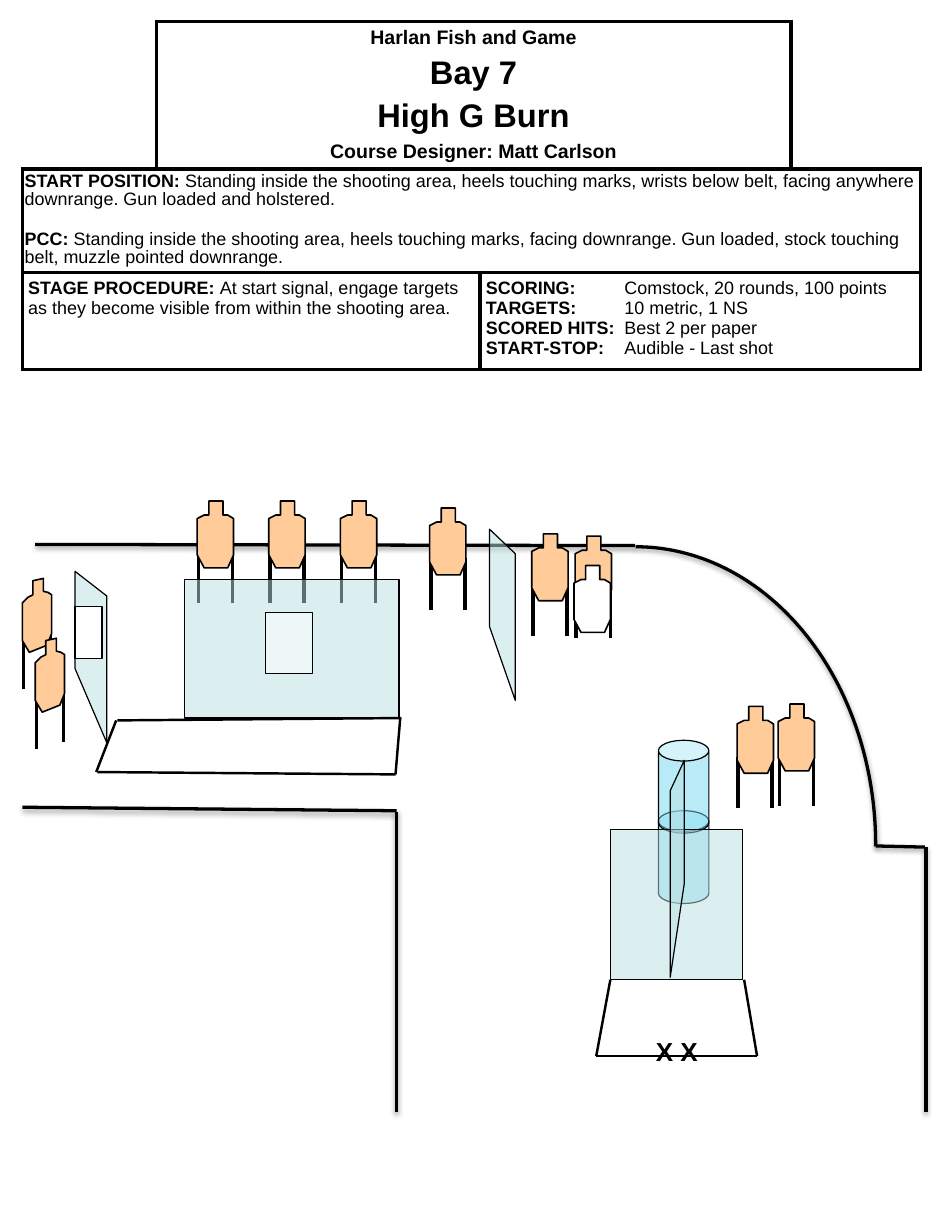
"""Build the Bay 7 stage diagram with its briefing table."""
from lxml import etree
from pptx import Presentation
from pptx.dml.color import RGBColor
from pptx.enum.shapes import MSO_CONNECTOR, MSO_SHAPE
from pptx.enum.text import MSO_ANCHOR, PP_ALIGN
from pptx.oxml import parse_xml
from pptx.oxml.ns import qn
from pptx.util import Inches, Pt

STRAIGHT = MSO_CONNECTOR.STRAIGHT
RECT, CAN, ARC = MSO_SHAPE.RECTANGLE, MSO_SHAPE.CAN, MSO_SHAPE.ARC
CENTER, MIDDLE, TOP = PP_ALIGN.CENTER, MSO_ANCHOR.MIDDLE, MSO_ANCHOR.TOP
COLORS = {"ink": "000000", "paper": "FFFFFF", "target": "FFCC99", "wall": "BBE0E3", "barrel": "73D9F1"}
NS = 'xmlns:a="http://schemas.openxmlformats.org/drawingml/2006/main"'
SHADOW = (
    f'<a:effectLst {NS}><a:outerShdw blurRad="40000" dist="20000" dir="5400000" rotWithShape="0">'
    '<a:srgbClr val="000000"><a:alpha val="38000"/></a:srgbClr></a:outerShdw></a:effectLst>'
)


def paint(shape, color, width, alpha=100):
    shape.shadow.inherit = False
    shape.line.color.rgb = RGBColor.from_string(COLORS["ink"])
    shape.line.width = Pt(width)
    if color is None:
        shape.fill.background()
        return
    shape.fill.solid()
    shape.fill.fore_color.rgb = RGBColor.from_string(COLORS[color])
    if alpha < 100:
        tint = shape._element.spPr.find(qn("a:solidFill"))[0]
        etree.SubElement(tint, qn("a:alpha"), val=str(alpha * 1000))


def draw_line(shapes, ends, width, effect=f"<a:effectLst {NS}/>"):
    line = shapes.add_connector(STRAIGHT, *[Inches(v) for v in ends])
    line.line.color.rgb = RGBColor.from_string(COLORS["ink"])
    line.line.width = Pt(width)
    line._element.spPr.append(parse_xml(effect))


prs = Presentation()
prs.slide_width, prs.slide_height = Inches(8), Inches(10.5)
slide = prs.slides.add_slide(prs.slide_layouts[6])
shapes = slide.shapes

briefing = shapes.add_table(3, 4, Inches(0.19), Inches(0.18), Inches(7.65), Inches(2.97)).table
briefing.first_row = briefing.horz_banding = False
for column, width in zip(briefing.columns, (1.14, 2.76, 2.65, 1.1)):
    column.width = Inches(width)
for row, height in zip(briefing.rows, (1.26, 0.88, 0.83)):
    row.height = Inches(height)
for first, last in (((0, 1), (0, 2)), ((1, 0), (1, 3)), ((2, 0), (2, 1)), ((2, 2), (2, 3))):
    briefing.cell(*first).merge(briefing.cell(*last))

open_sides = {(0, 0): "LT", (0, 3): "RT"}
for r in range(3):
    for c in range(4):
        cell = briefing.cell(r, c)
        cell.fill.solid()
        cell.fill.fore_color.rgb = RGBColor.from_string(COLORS["paper"])
        for order, side in enumerate("LRTB"):
            stroke = "<a:noFill/>"
            if side not in open_sides.get((r, c), ""):
                stroke = f'<a:solidFill><a:srgbClr val="{COLORS["ink"]}"/></a:solidFill>'
            border = parse_xml(f'<a:ln{side} {NS} w="28575">{stroke}</a:ln{side}>')
            cell._tc.get_or_add_tcPr().insert(order, border)

start_text = (
    " Standing inside the shooting area, heels touching marks, wrists below belt, "
    "facing anywhere downrange. Gun loaded and holstered."
)
pcc_text = (
    "Standing inside the shooting area, heels touching marks, facing downrange. "
    "Gun loaded, stock touching belt, muzzle pointed downrange."
)
procedure_text = "At start signal, engage targets as they become visible from within the shooting area."
sections = [
    ((0, 1), 0.05, 0.05, MIDDLE, CENTER, 1, 4, [
        (12, "Harlan Fish and Game", ""), (20, "Bay 7", ""),
        (20, "High G Burn", ""), (12, "Course Designer: Matt Carlson", "")]),
    ((1, 0), 0.02, 0.04, TOP, None, 0.9, 13, [
        (11, "START POSITION:", start_text), (11, "PCC: ", pcc_text)]),
    ((2, 0), 0.05, 0.05, TOP, None, 1, 0, [(11, "STAGE PROCEDURE: ", procedure_text)]),
    ((2, 2), 0.05, 0.05, TOP, None, 1, 0, [
        (11, "SCORING:", "\tComstock, 20 rounds, 100 points"),
        (11, "TARGETS:", "\t10 metric, 1 NS"),
        (11, "SCORED HITS:", "\tBest 2 per paper"),
        (11, "START-STOP:", "\tAudible - Last shot")]),
]
for position, side_inset, end_inset, anchor, align, spacing, before, entries in sections:
    cell = briefing.cell(*position)
    cell.margin_left = cell.margin_right = Inches(side_inset)
    cell.margin_top = cell.margin_bottom = Inches(end_inset)
    cell.vertical_anchor = anchor
    for i, (size, heading, detail) in enumerate(entries):
        frame = cell.text_frame
        paragraph = frame.add_paragraph() if i else frame.paragraphs[0]
        paragraph.alignment = align
        paragraph.line_spacing = spacing
        if i and before:
            paragraph.space_before = Pt(before)
        if detail.startswith("\t"):
            tabs = etree.SubElement(paragraph._p.get_or_add_pPr(), qn("a:tabLst"))
            etree.SubElement(tabs, qn("a:tab"), pos=str(Inches(1.18)), algn="l")
        for text, bold in ((heading, True), (detail, False)):
            if text:
                run = paragraph.add_run()
                run.text = text
                run.font.name, run.font.size, run.font.bold = "Arial", Pt(size), bold
                run.font.color.rgb = RGBColor.from_string(COLORS["ink"])

berm_lines = [
    (5.41, 4.65, 0.3, 4.64), (3.38, 9.48, 3.38, 6.92), (3.38, 6.91, 0.19, 6.88),
    (7.89, 9.48, 7.89, 7.22), (7.88, 7.22, 7.46, 7.21),
]
for ends in berm_lines:
    draw_line(shapes, ends, 2, SHADOW)
berm_curve = shapes.add_shape(ARC, Inches(3.37), Inches(4.66), Inches(4.09), Inches(5.08))
berm_curve.adjustments[0], berm_curve.adjustments[1] = 162, 0.24
paint(berm_curve, None, 2)
berm_curve._element.spPr.remove(berm_curve._element.spPr.find(qn("a:effectLst")))
berm_curve._element.spPr.append(parse_xml(SHADOW))

front_outline = [
    (0.1, 0), (0.22, 0), (0.22, 0.12), (0.26, 0.12), (0.31, 0.15), (0.31, 0.46),
    (0.26, 0.57), (0.06, 0.57), (0, 0.46), (0, 0.15), (0.06, 0.12), (0.1, 0.12),
]
angled_outline = [
    (0.09, 0.02), (0.18, 0), (0.18, 0.11), (0.22, 0.12), (0.25, 0.14), (0.25, 0.47),
    (0.21, 0.57), (0.06, 0.63), (0, 0.53), (0, 0.21), (0.05, 0.16), (0.09, 0.14),
]
front_legs = [(0.01, 0.43), (0.3, 0.43)]
angled_legs = [(0.01, 0.5), (0.24, 0.44)]
front_spots = [
    (6.63, 6), (4.9, 4.57), (6.28, 6.02), (4.53, 4.55),
    (1.68, 4.27), (2.29, 4.27), (2.9, 4.27), (3.66, 4.33),
]
targets = [(x, y, front_outline, front_legs, "target") for x, y in front_spots]
targets += [(x, y, angled_outline, angled_legs, "target") for x, y in ((0.19, 4.93), (0.3, 5.44))]
targets.append((4.89, 4.82, front_outline, [], "paper"))
for x, y, outline, legs, color in targets:
    parts = shapes.add_group_shape().shapes if legs else shapes
    for dx, dy in legs:
        draw_line(parts, (x + dx, y + dy, x + dx, y + dy + 0.44), 2.25)
    points = [(Inches(x + dx), Inches(y + dy)) for dx, dy in outline]
    silhouette = parts.build_freeform(*points[0])
    silhouette.add_line_segments(points[1:])
    paint(silhouette.convert_to_shape(), color, 1)

for top in (6.91, 6.31):
    barrel = shapes.add_shape(CAN, Inches(5.61), Inches(top), Inches(0.43), Inches(0.79))
    barrel.adjustments[0] = 0.41
    paint(barrel, "barrel", 0.75, 50)

angled_walls = [
    [(5.83, 7.53), (5.71, 8.33), (5.71, 6.74), (5.83, 6.48)],
    [(4.17, 5.34), (4.39, 5.97), (4.39, 4.72), (4.17, 4.51)],
    [(0.64, 5.7), (0.91, 6.33), (0.91, 5.08), (0.64, 4.87)],
]
flat_panels = [
    (5.2, 7.07, 1.13, 1.28, "wall", 50), (1.57, 4.94, 1.83, 1.18, "wall", 50),
    (2.26, 5.22, 0.4, 0.52, "paper", 50), (0.64, 5.17, 0.23, 0.44, "paper", 100),
]
for *box, color, alpha in flat_panels[:3]:
    paint(shapes.add_shape(RECT, *[Inches(v) for v in box]), color, 0.75, alpha)
for corners in angled_walls:
    points = [(Inches(x), Inches(y)) for x, y in corners]
    wall = shapes.build_freeform(*points[0])
    wall.add_line_segments(points[1:])
    paint(wall.convert_to_shape(), "wall", 0.75, 50)
*box, color, alpha = flat_panels[3]
paint(shapes.add_shape(RECT, *[Inches(v) for v in box]), color, 0.75, alpha)

shooting_area_edges = [
    (5.08, 9, 5.2, 8.35), (5.08, 9, 6.45, 9), (6.34, 8.35, 6.45, 9),
    (0.83, 6.58, 3.37, 6.6), (3.37, 6.6, 3.41, 6.12), (1, 6.14, 3.42, 6.12), (0.82, 6.58, 0.99, 6.14),
]
for ends in shooting_area_edges:
    draw_line(shapes, ends, 1.5)

heel_marks = shapes.add_textbox(Inches(5.49), Inches(8.78), Inches(0.58), Inches(0.37)).text_frame
heel_marks.text = "X X"
marks_font = heel_marks.paragraphs[0].runs[0].font
marks_font.name, marks_font.size, marks_font.bold = "Arial", Pt(16), True
marks_font.color.rgb = RGBColor.from_string(COLORS["ink"])

prs.save("out.pptx")
